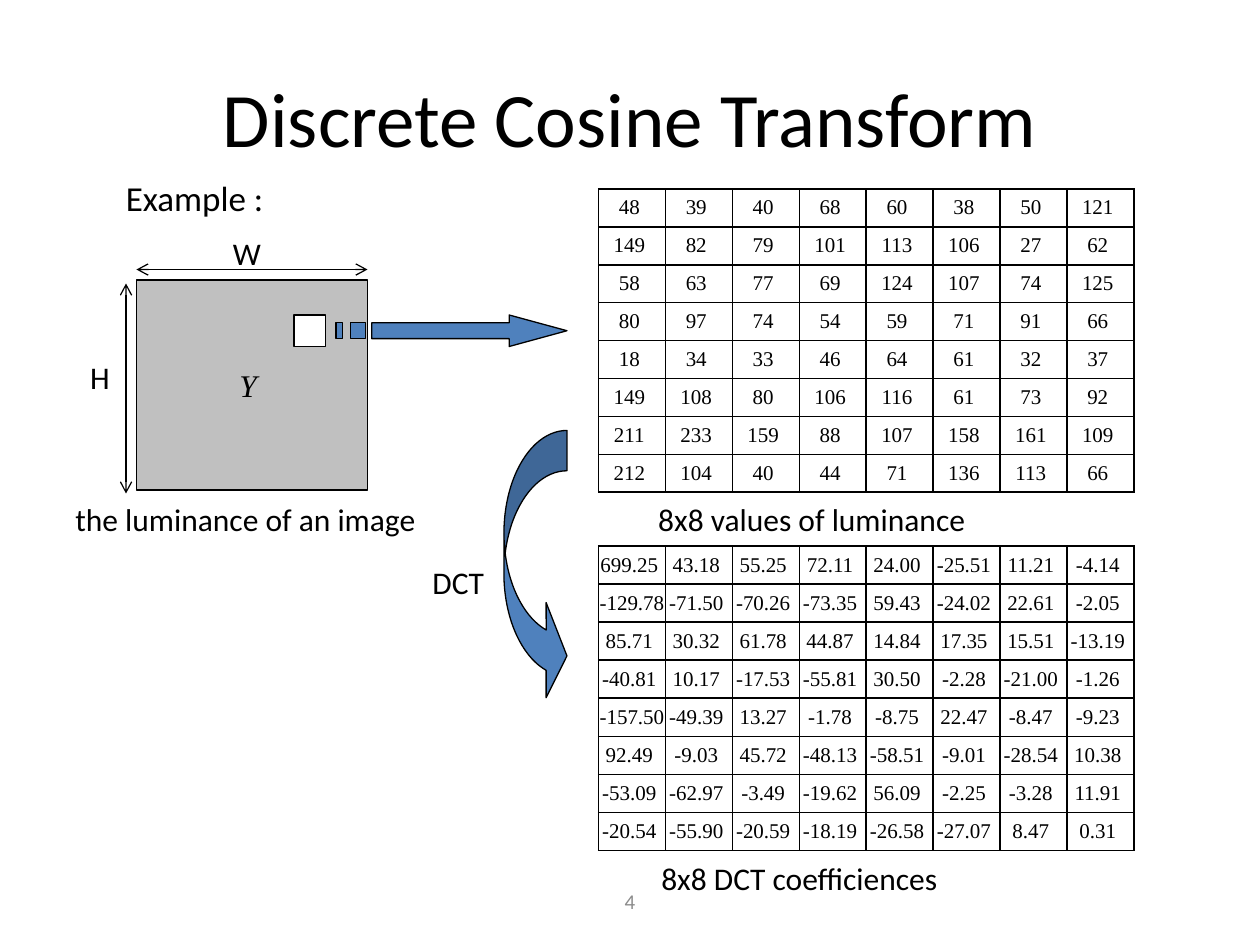
from lxml.etree import SubElement
from pptx import Presentation
from pptx.dml.color import RGBColor
from pptx.enum.shapes import MSO_CONNECTOR, MSO_SHAPE
from pptx.enum.text import MSO_ANCHOR, PP_ALIGN
from pptx.oxml.ns import qn
from pptx.util import Inches, Pt

BLACK = RGBColor(0x00, 0x00, 0x00)
WHITE = RGBColor(0xFF, 0xFF, 0xFF)
SILVER = RGBColor(0xC0, 0xC0, 0xC0)
GRAY = RGBColor(0x8C, 0x8C, 0x8C)
BLUE = RGBColor(0x4F, 0x81, 0xBD)

SANS, SERIF = "Calibri", "Times New Roman"
SLIDE_WIDTH, SLIDE_HEIGHT = Inches(10), Inches(7.5)
GRID_COLUMNS, GRID_ROWS = 120, 90

LUMINANCE = """
48 39 40 68 60 38 50 121
149 82 79 101 113 106 27 62
58 63 77 69 124 107 74 125
80 97 74 54 59 71 91 66
18 34 33 46 64 61 32 37
149 108 80 106 116 61 73 92
211 233 159 88 107 158 161 109
212 104 40 44 71 136 113 66
"""
COEFFICIENTS = """
699.25 43.18 55.25 72.11 24.00 -25.51 11.21 -4.14
-129.78 -71.50 -70.26 -73.35 59.43 -24.02 22.61 -2.05
85.71 30.32 61.78 44.87 14.84 17.35 15.51 -13.19
-40.81 10.17 -17.53 -55.81 30.50 -2.28 -21.00 -1.26
-157.50 -49.39 13.27 -1.78 -8.75 22.47 -8.47 -9.23
92.49 -9.03 45.72 -48.13 -58.51 -9.01 -28.54 10.38
-53.09 -62.97 -3.49 -19.62 56.09 -2.25 -3.28 11.91
-20.54 -55.90 -20.59 -18.19 -26.58 -27.07 8.47 0.31
"""
# text, column, row, width, height, size
LABELS = [
    ("Example :", 10.8, 16.2, 17.3, 5.2, 20),
    ("the luminance of an image", 6, 47, 37.6, 4.8, 18),
    ("W", 21, 21.7, 5.3, 4.8, 18),
    ("H", 7.4, 33.5, 4.6, 4.8, 18),
    ("8x8 values of luminance", 61.5, 47, 35.4, 4.8, 18),
    ("8x8 DCT coefficiences", 61.8, 81.2, 33.2, 4.8, 18),
    ("DCT", 40, 53, 9, 4.8, 18),
]


def point(column, row):
    """Turn grid columns and rows into slide lengths."""
    return (round(SLIDE_WIDTH * column / GRID_COLUMNS),
            round(SLIDE_HEIGHT * row / GRID_ROWS))


def area(column, row, width, height):
    return *point(column, row), *point(width, height)


def write(para, text, size, name=SANS, color=BLACK, align=PP_ALIGN.CENTER):
    para.text = text
    para.alignment = align
    para.font.size = Pt(size)
    para.font.name = name
    para.font.color.rgb = color


def add_title(page, text):
    title = page.shapes.title
    title.left, title.top, title.width, title.height = area(6, 3.6, 108, 15)
    title.text_frame.vertical_anchor = MSO_ANCHOR.MIDDLE
    write(title.text_frame.paragraphs[0], text, 44)


def add_label(page, text, column, row, width, height, size,
              color=BLACK, align=PP_ALIGN.LEFT, anchor=MSO_ANCHOR.TOP):
    box = page.shapes.add_textbox(*area(column, row, width, height))
    box.text_frame.word_wrap = False
    box.text_frame.vertical_anchor = anchor
    write(box.text_frame.paragraphs[0], text, size, color=color, align=align)


def paint(shape, color):
    shape.shadow.inherit = False
    shape.fill.solid()
    shape.fill.fore_color.rgb = color
    shape.line.color.rgb = BLACK
    shape.line.width = Pt(0.75)


def add_preset(page, kind, place, color):
    shape = page.shapes.add_shape(kind, *area(*place))
    paint(shape, color)
    return shape


def add_luminance_plane(page):
    plane = add_preset(page, MSO_SHAPE.RECTANGLE, (13, 26.67, 22, 20), SILVER)
    plane.text_frame.word_wrap = False
    plane.text_frame.vertical_anchor = MSO_ANCHOR.MIDDLE
    para = plane.text_frame.paragraphs[0]
    write(para, "Y ", 18, SERIF)
    para.font.italic = True


def add_dimension(page, start, end):
    """Draw a line with an open arrowhead at both ends."""
    line = page.shapes.add_connector(
        MSO_CONNECTOR.STRAIGHT, *point(*start), *point(*end))
    line.line.color.rgb = BLACK
    line.line.width = Pt(0.75)
    for end_name in ("a:headEnd", "a:tailEnd"):
        SubElement(line.line._ln, qn(end_name), type="arrow")
    SubElement(line._element.spPr, qn("a:effectLst"))


def add_striped_arrow(page):
    top, bottom = 30.75, 32.25
    outlines = [
        [(48.5, 30), (48.5, top), (35.4, top), (35.4, bottom),
         (48.5, bottom), (48.5, 33), (54, 31.5)],
    ]
    for left, right in ((33.4, 34.8), (32, 32.65)):
        outlines.append([(left, top), (left, bottom),
                         (right, bottom), (right, top)])
    builder = None
    for outline in outlines:
        first, *others = [point(*corner) for corner in outline]
        if builder is None:
            builder = page.shapes.build_freeform(*first)
        else:
            builder.move_to(*first)
        builder.add_line_segments(others, close=True)
    paint(builder.convert_to_shape(), BLUE)


def add_borders(cell):
    properties = cell._tc.get_or_add_tcPr()
    for side in ("a:lnL", "a:lnR", "a:lnT", "a:lnB"):
        border = SubElement(properties, qn(side), w=str(Pt(1)))
        fill = SubElement(border, qn("a:solidFill"))
        SubElement(fill, qn("a:srgbClr"), val=str(BLACK))


def add_matrix(page, numbers, place, side_margin):
    rows = [line.split() for line in numbers.strip().splitlines()]
    frame = page.shapes.add_table(len(rows), len(rows[0]), *area(*place))
    table = frame.table
    table.first_row = table.horz_banding = False
    for row_index, row in enumerate(rows):
        for column_index, number in enumerate(row):
            cell = table.cell(row_index, column_index)
            add_borders(cell)
            cell.fill.background()
            cell.margin_left = cell.margin_right = side_margin
            cell.vertical_anchor = MSO_ANCHOR.MIDDLE
            write(cell.text_frame.paragraphs[0], f"{number} ", 12, SERIF)


def main():
    deck = Presentation()
    deck.slide_width, deck.slide_height = SLIDE_WIDTH, SLIDE_HEIGHT
    page = deck.slides.add_slide(deck.slide_layouts[5])

    add_label(page, "4", 41, 83.4, 38, 4.8, 12, GRAY,
              PP_ALIGN.CENTER, MSO_ANCHOR.MIDDLE)
    add_title(page, "Discrete Cosine Transform")
    add_luminance_plane(page)
    add_dimension(page, (13, 25.67), (35, 25.67))
    add_dimension(page, (12, 27), (12, 47))
    add_preset(page, MSO_SHAPE.RECTANGLE, (28, 30, 3, 3), WHITE)
    add_matrix(page, LUMINANCE, (57, 18, 51, 28.9), Inches(0.1))
    add_striped_arrow(page)
    curve = add_preset(page, MSO_SHAPE.CURVED_RIGHT_ARROW, (48, 41, 6, 26), BLUE)
    for index, share in enumerate((0.64, 1.51, 0.33)):
        curve.adjustments[index] = share
    add_matrix(page, COEFFICIENTS, (57, 52, 51, 29), 0)
    for label in LABELS:
        add_label(page, *label)

    deck.save("out.pptx")


if __name__ == "__main__":
    main()
